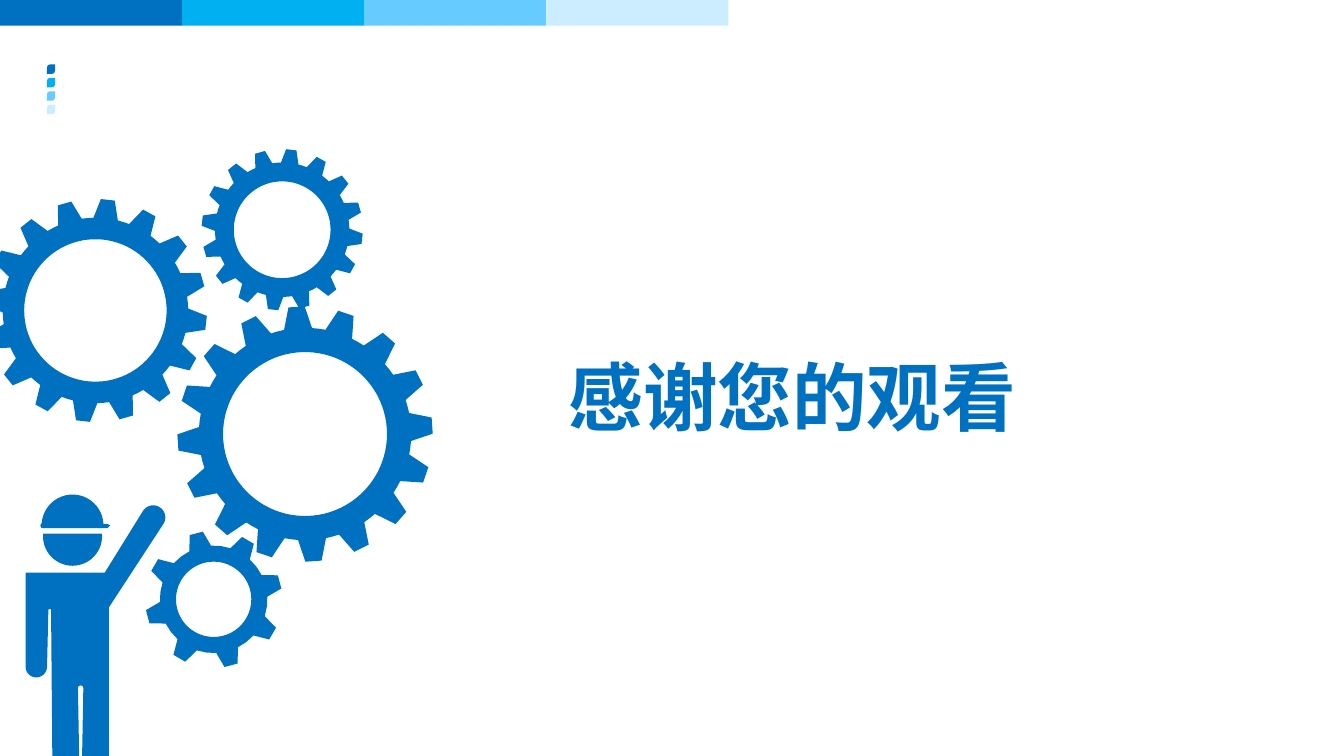
from math import cos, radians, sin

from pptx import Presentation
from pptx.dml.color import RGBColor
from pptx.enum.shapes import MSO_SHAPE
from pptx.enum.text import MSO_ANCHOR, MSO_AUTO_SIZE, PP_ALIGN
from pptx.oxml.ns import qn
from pptx.util import Inches, Pt

RECT = MSO_SHAPE.RECTANGLE
LEAF = MSO_SHAPE.ROUND_2_DIAG_RECTANGLE
LEFT = PP_ALIGN.LEFT
MIDDLE = MSO_ANCHOR.MIDDLE
GROW = MSO_AUTO_SIZE.SHAPE_TO_FIT_TEXT

FONT = "Noto Sans CJK SC"
BLUE = "0070C0"
PALETTE = [BLUE, "00B0F0", "66CCFF", "CCECFF"]
TITLE_LAYOUT = 5

# centre x, centre y, tip radius, root radius, hole radius,
# teeth, angle of first tooth, half angle at tip, half angle at root
GEARS = [
    (2.27, 3.23, 0.95, 0.79, 0.61, 16, -3.8, 3.65, 7.6),
    (0.71, 2.31, 0.83, 0.69, 0.53, 16, 6.4, 3.6, 7.6),
    (2.1, 1.71, 0.6, 0.5, 0.36, 16, 6.5, 3.7, 7.5),
    (1.59, 4.46, 0.51, 0.4, 0.28, 8, -14.8, 5.7, 12),
]


def rgb(color):
    return RGBColor.from_string(color)


def paint(sp, color):
    sp.shadow.inherit = False
    sp.fill.solid()
    sp.fill.fore_color.rgb = rgb(color)
    sp.line.fill.background()


def polar(cx, cy, radius, angle):
    a = radians(angle)
    return cx + radius * cos(a), cy + radius * sin(a)


def arc(cx, cy, radius, start, end, steps=24):
    return [polar(cx, cy, radius, start + (end - start) * i / steps)
            for i in range(steps + 1)]


def add_outline(shapes, *contours):
    """Fill one shape made of closed contours; inner ones become holes."""
    paths = [[(Inches(x), Inches(y)) for x, y in c] for c in contours]
    builder = shapes.build_freeform(*paths[0][0])
    builder.add_line_segments(paths[0][1:])
    for path in paths[1:]:
        builder.move_to(*path[0])
        builder.add_line_segments(path[1:])
    paint(builder.convert_to_shape(), BLUE)


def add_swatches(shapes, kind, x, y, w, h, dx, dy):
    """Place one shape per palette colour, stepping by dx and dy."""
    for i, color in enumerate(PALETTE):
        sp = shapes.add_shape(kind, Inches(x + i * dx), Inches(y + i * dy),
                              Inches(w), Inches(h))
        if kind == LEAF:
            sp.adjustments[0] = 0.4
        paint(sp, color)


def add_gear(shapes, cx, cy, tip, root, hole, teeth, first, tip_half, root_half):
    step = 360 / teeth
    rim = []
    for i in range(teeth):
        mid = first + i * step
        rim += [polar(cx, cy, r, mid + offset) for r, offset in (
            (root, -root_half), (tip, -tip_half), (tip, tip_half),
            (root, root_half), (root, step / 2))]
    add_outline(shapes, rim, arc(cx, cy, hole, 360, 0, 90))


def add_helmet(shapes, x, y):
    brim = [(0.5, 0.22), (0.52, 0.23), (0.5, 0.25),
            (0.01, 0.25), (0, 0.23), (0.01, 0.21)]
    add_outline(shapes, arc(x + 0.24, y + 0.23, 0.23, 183, 357)
                + [(x + dx, y + dy) for dx, dy in brim])


def add_body(shapes, x, y):
    """Trace shoulder, raised arm, two legs and lowered arm clockwise."""
    add_outline(
        shapes,
        [(x, y + 0.51), (x + 0.59, y + 0.51)]
        + arc(x + 0.95, y + 0.1, 0.09, 212, 392)
        + [(x + 0.62, y + 0.77)]
        + arc(x + 0.52, y + 1.93, 0.1, 0, 180)
        + arc(x + 0.41, y + 1.37, 0.02, 0, -180)
        + arc(x + 0.3, y + 1.93, 0.1, 0, 180)
        + arc(x + 0.18, y + 0.79, 0.01, 0, -180)
        + arc(x + 0.08, y + 1.21, 0.08, 0, 180))


def add_worker(shapes, x, y):
    add_helmet(shapes, x + 0.11, y)
    add_body(shapes, x, y + 0.07)
    # Face
    add_outline(shapes, arc(x + 0.35, y + 0.31, 0.22, -5, 185))


def add_title(slide, x, y, w, h, text):
    sp = slide.shapes.title
    sp.left, sp.top, sp.width, sp.height = (Inches(v) for v in (x, y, w, h))
    tf = sp.text_frame
    tf.word_wrap = False
    tf.auto_size = GROW
    tf.vertical_anchor = MIDDLE
    p = tf.paragraphs[0]
    p.alignment = LEFT
    r = p.add_run()
    r.text = text
    r.font.name = FONT
    r.font.size = Pt(40)
    r.font.bold = True
    r.font.color.rgb = rgb(BLUE)
    # East Asian typeface
    ea = r.font._element.makeelement(qn("a:ea"), {"typeface": FONT})
    r.font._element.find(qn("a:latin")).addnext(ea)


def add_closing_slide(prs):
    slide = prs.slides.add_slide(prs.slide_layouts[TITLE_LAYOUT])
    slide.background.fill.solid()
    slide.background.fill.fore_color.rgb = rgb("FFFFFF")
    shapes = slide.shapes
    # Top colour bar and leaf column
    bar = 5.42 / len(PALETTE)
    add_swatches(shapes, RECT, 0, 0, bar, 0.19, bar, 0)
    add_swatches(shapes, LEAF, 0.35, 0.48, 0.06, 0.07, 0, 0.1)
    add_title(slide, 4.13, 2.56, 3.57, 0.77, "感谢您的观看")
    # Gears and worker
    for gear in GEARS:
        add_gear(shapes, *gear)
    add_worker(shapes, 0.19, 3.68)


def main():
    prs = Presentation()
    # Widescreen, 16:9
    prs.slide_width = Inches(10)
    prs.slide_height = Inches(10 * 9 / 16)
    add_closing_slide(prs)
    prs.save("out.pptx")


if __name__ == "__main__":
    main()
